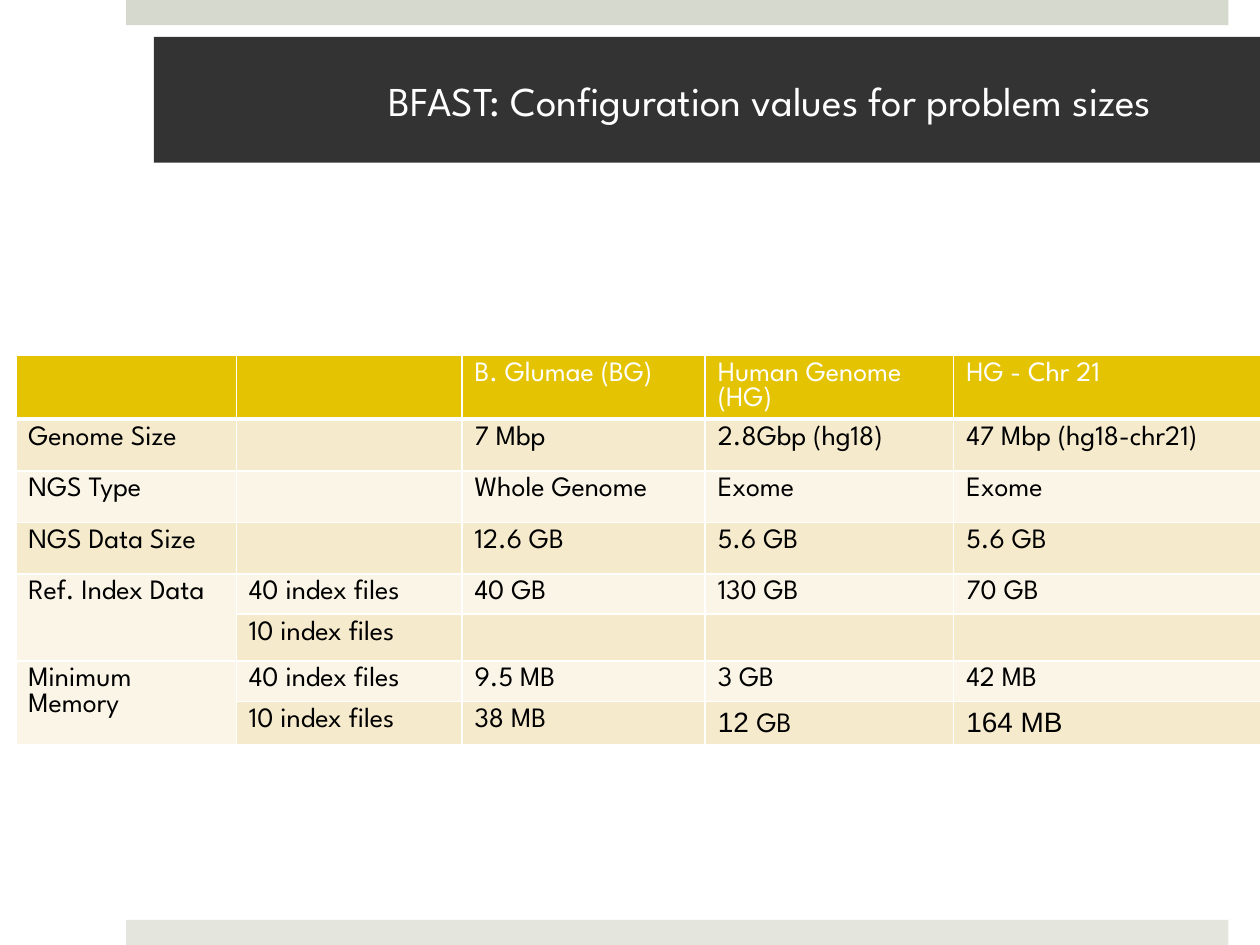
from lxml import etree
from pptx import Presentation
from pptx.dml.color import RGBColor
from pptx.enum import shapes, text
from pptx.oxml import ns
from pptx.util import Pt

WHITE = RGBColor(0xFF, 0xFF, 0xFF)
BLACK = RGBColor(0x00, 0x00, 0x00)
CHARCOAL = RGBColor(0x33, 0x33, 0x33)
TOP_BAND = RGBColor(0xD6, 0xD9, 0xCD)
BOTTOM_BAND = RGBColor(0xE4, 0xE6, 0xDE)
GOLD = RGBColor(0xE4, 0xC4, 0x02)
DARK_ROW = RGBColor(0xF5, 0xEA, 0xCC)
LIGHT_ROW = RGBColor(0xFA, 0xF5, 0xE7)

FONT = "League Spartan"
CELL_SIZE = Pt(16)
COLUMN_WIDTHS = [126, 129, 139, 142, 175.5]
ROW_HEIGHTS = [31] + [29.5] * 3 + [23] * 4
ROWS = [
    ["", "", "B. Glumae (BG)", "Human Genome (HG)", "HG - Chr 21"],
    ["Genome Size", "", "7 Mbp", "2.8Gbp (hg18)", "47 Mbp (hg18-chr21)"],
    ["NGS Type", "", "Whole Genome", "Exome", "Exome"],
    ["NGS Data Size", "", "12.6 GB", "5.6 GB", "5.6 GB"],
    ["Ref. Index Data", "40 index files", "40 GB", "130 GB", "70 GB"],
    ["", "10 index files", "", "", ""],
    ["Minimum Memory", "40 index files", "9.5 MB", "3 GB", "42 MB"],
    ["", "10 index files", "38 MB",
     [("12 ", "Arial"), ("GB", FONT)], [("164 ΜΒ", "Arial")]],
]


def set_attributes(target, values):
    for name, value in values.items():
        setattr(target, name, value)


def add_runs(paragraph, runs, size, color):
    for words, font_name in runs:
        run = paragraph.add_run()
        run.text = words
        set_attributes(run.font, {"name": font_name, "size": size})
        run.font.color.rgb = color


def add_band(slide, top, color):
    band = slide.shapes.add_shape(
        shapes.MSO_SHAPE.RECTANGLE, Pt(72), Pt(top), Pt(630), Pt(14.4))
    band.shadow.inherit = False
    band.fill.solid()
    band.fill.fore_color.rgb = color
    band.line.fill.background()


def format_title(title, words):
    set_attributes(title, {"left": Pt(88), "top": Pt(21),
                           "width": Pt(632), "height": Pt(72)})
    title.fill.solid()
    title.fill.fore_color.rgb = CHARCOAL
    set_attributes(title.text_frame, {
        "margin_left": Pt(93.6), "margin_right": Pt(21.6),
        "margin_top": Pt(3.6), "margin_bottom": Pt(3.6),
        "word_wrap": True, "auto_size": text.MSO_AUTO_SIZE.NONE,
        "vertical_anchor": text.MSO_ANCHOR.MIDDLE})
    paragraph = title.text_frame.paragraphs[0]
    paragraph.alignment = text.PP_ALIGN.CENTER
    add_runs(paragraph, [(words, FONT)], Pt(23.4), WHITE)


def set_borders(cell, bottom_width):
    """Draw white borders, which must come before the fill in the cell's XML."""
    properties = cell._tc.get_or_add_tcPr()
    widths = {"lnL": 1, "lnR": 1, "lnT": 1, "lnB": bottom_width}
    for tag, width in widths.items():
        line = etree.SubElement(properties, ns.qn(f"a:{tag}"), w=str(Pt(width)))
        fill = etree.SubElement(line, ns.qn("a:solidFill"))
        etree.SubElement(fill, ns.qn("a:srgbClr"), val=str(WHITE))


def set_empty_size(paragraph):
    """Keep an empty cell from growing its row to the default text size."""
    etree.SubElement(paragraph._p, ns.qn("a:endParaRPr"),
                     sz=str(int(CELL_SIZE.pt * 100)))


def fill_cell(cell, content, row_index):
    is_header = row_index == 0
    set_borders(cell, 3 if is_header else 1)
    cell.fill.solid()
    row_color = DARK_ROW if row_index % 2 else LIGHT_ROW
    cell.fill.fore_color.rgb = GOLD if is_header else row_color
    paragraph = cell.text_frame.paragraphs[0]
    if content:
        runs = [(content, FONT)] if isinstance(content, str) else content
        add_runs(paragraph, runs, CELL_SIZE, WHITE if is_header else BLACK)
    else:
        set_empty_size(paragraph)


def add_configuration_table(slide):
    table = slide.shapes.add_table(
        len(ROWS), len(COLUMN_WIDTHS), Pt(9), Pt(203),
        Pt(sum(COLUMN_WIDTHS)), Pt(sum(ROW_HEIGHTS))).table
    for column, width in zip(table.columns, COLUMN_WIDTHS):
        column.width = Pt(width)
    for row, height in zip(table.rows, ROW_HEIGHTS):
        row.height = Pt(height)
    for row_index, row in enumerate(ROWS):
        for column_index, content in enumerate(row):
            fill_cell(table.cell(row_index, column_index), content, row_index)
    for first_row in (4, 6):
        table.cell(first_row, 0).merge(table.cell(first_row + 1, 0))


def main():
    presentation = Presentation()
    set_attributes(presentation, {"slide_width": Pt(720), "slide_height": Pt(540)})
    slide = presentation.slides.add_slide(presentation.slide_layouts[5])
    add_band(slide, 0, TOP_BAND)
    add_band(slide, 525.6, BOTTOM_BAND)
    add_configuration_table(slide)
    format_title(slide.shapes.title, "BFAST: Configuration values for problem sizes")
    presentation.save("out.pptx")


if __name__ == "__main__":
    main()
